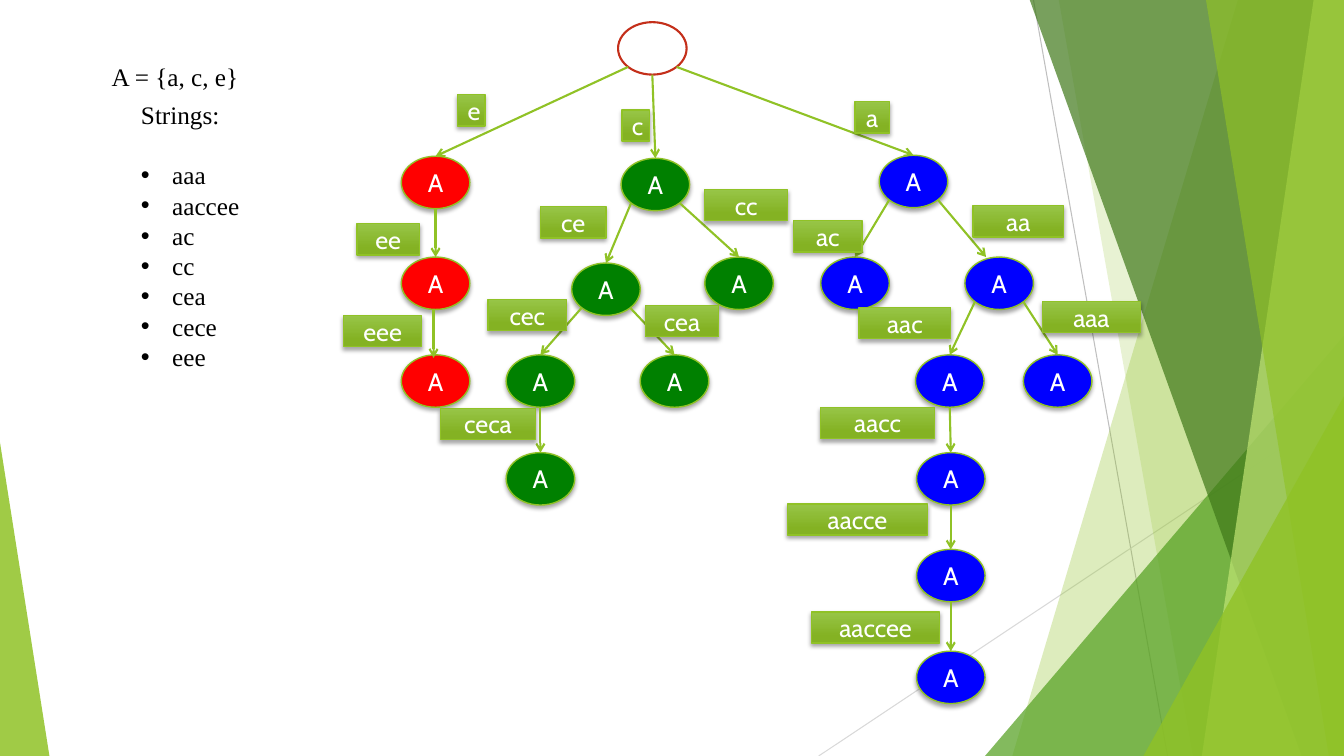
from dataclasses import dataclass
from typing import Optional

from lxml import etree
from pptx import Presentation
from pptx.dml.color import RGBColor
from pptx.enum.shapes import MSO_CONNECTOR, MSO_SHAPE
from pptx.enum.text import MSO_ANCHOR, PP_ALIGN
from pptx.oxml.ns import qn
from pptx.util import Inches, Pt

STRAIGHT = MSO_CONNECTOR.STRAIGHT
OVAL, RECT, TRIANGLE = MSO_SHAPE.OVAL, MSO_SHAPE.RECTANGLE, MSO_SHAPE.ISOSCELES_TRIANGLE
MIDDLE, CENTER = MSO_ANCHOR.MIDDLE, PP_ALIGN.CENTER

COLORS = {
    "lime": "90C226", "leaf": "54A021", "forest": "3F7819", "pale": "C0E474",
    "gray": "BFBFBF", "light_gray": "D9D9D9", "black": "000000", "white": "FFFFFF",
    "root": "C42F1A", "label_top": "97C547", "label_bottom": "84B223",
    "e": "FF0000", "c": "008000", "a": "0000FF",  # one colour per first letter
}
SLIDE_W, SLIDE_H = 13.33, 7.5
NODE_W, NODE_H, LABEL_H = 0.68, 0.52, 0.31
DIAGONAL = 0.707  # share of an oval's radius at its diagonal points
SERIF, SANS = "Times New Roman", "Cabin"


@dataclass
class Band:
    """Facet that runs from the slide's top to its bottom, up to the right edge."""
    top_x: float
    bottom_x: float
    color: str
    alpha: int


@dataclass
class Wedge:
    """Right triangle standing on the slide's bottom edge."""
    left: float
    top: float
    width: float
    apex: float
    color: str
    alpha: int


@dataclass
class Node:
    """Trie node; its parent is the prefix one letter shorter."""
    prefix: str
    center_x: float
    top: float
    label_left: float
    label_top: float
    label_width: float
    arrow: Optional[tuple[float, float, float, float]] = None


FACETS = [
    Band(12.28, 10.04, "lime", 30),
    Band(10.5, 11.83, "lime", 20),
    Wedge(9.77, 3.33, 3.56, 1, "leaf", 72),
    Band(10.21, 12.91, "forest", 70),
    Band(13.03, 11.92, "pale", 70),
    Band(11.96, 13.18, "lime", 65),
    Wedge(11.34, 3.93, 1.99, 1, "lime", 80),
    Wedge(0, 4.39, 0.49, 0, "lime", 85),
]
ROOT_X, ROOT_TOP = 6.47, 0.22
NODES = [
    Node("e", 4.32, 1.55, 4.54, 0.94, 0.27),
    Node("c", 6.5, 1.57, 6.17, 1.09, 0.27),
    Node("a", 9.06, 1.54, 8.48, 1.01, 0.34),
    Node("ee", 4.32, 2.55, 3.54, 2.22, 0.62),
    Node("eee", 4.32, 3.52, 3.41, 3.13, 0.77, arrow=(4.3, 3.07, 4.3, 3.55)),
    Node("aa", 9.91, 2.55, 9.65, 2.04, 0.9, arrow=(9.3, 1.98, 9.78, 2.55)),
    Node("aaa", 10.49, 3.52, 10.34, 2.99, 0.97),
    Node("aac", 9.42, 3.52, 8.52, 3.05, 0.91),
    Node("aacc", 9.43, 4.49, 8.14, 4.04, 1.13),
    Node("aacce", 9.43, 5.45, 7.81, 5, 1.39),
    Node("aaccee", 9.43, 6.46, 8.05, 6.07, 1.27),
    Node("ac", 8.48, 2.55, 7.87, 2.19, 0.68),
    Node("cc", 7.33, 2.55, 6.99, 1.88, 0.82),
    Node("ce", 6.01, 2.61, 5.36, 2.05, 0.65),
    Node("cea", 6.69, 3.52, 6.4, 3.03, 0.73),
    Node("cec", 5.36, 3.52, 4.84, 2.97, 0.78),
    Node("ceca", 5.36, 4.49, 4.37, 4.05, 0.94),
]
STRINGS = ["aaa", "aaccee", "ac", "cc", "cea", "cece", "eee"]


def rgb(name: str) -> RGBColor:
    return RGBColor.from_string(COLORS[name])


def add_facet(s, facet) -> None:
    if isinstance(facet, Wedge):
        sp = s.shapes.add_shape(TRIANGLE, Inches(facet.left), Inches(facet.top),
                                Inches(facet.width), Inches(SLIDE_H - facet.top))
        sp.adjustments[0] = facet.apex
    else:
        top = Inches(-0.01)
        right, bottom = Inches(SLIDE_W), Inches(SLIDE_H)
        outline = s.shapes.build_freeform(Inches(facet.top_x), top)
        outline.add_line_segments([(right, top), (right, bottom),
                                   (Inches(facet.bottom_x), bottom)])
        sp = outline.convert_to_shape()
    sp.shadow.inherit = False
    sp.fill.solid()
    sp.fill.fore_color.rgb = rgb(facet.color)
    sp.line.fill.background()
    fill_color = sp.element.spPr.find(qn("a:solidFill")).find(qn("a:srgbClr"))
    etree.SubElement(fill_color, qn("a:alpha"), val=str(facet.alpha * 1000))


def add_line(s, ends: tuple, color: str, width: float):
    cxn = s.shapes.add_connector(STRAIGHT, *(Inches(v) for v in ends))
    cxn.line.color.rgb = rgb(color)
    cxn.line.width = Pt(width)
    etree.SubElement(cxn.element.spPr, qn("a:effectLst"))
    return cxn


def add_arrow(s, node: Node, parent_x: float, parent_top: float, oval) -> None:
    # Leave the parent at its bottom or at the diagonal point facing the child
    shift = node.center_x - parent_x
    if abs(shift) < 0.1:
        start = (parent_x, parent_top + NODE_H)
    else:
        dx = DIAGONAL * NODE_W / 2 * (1 if shift > 0 else -1)
        start = (parent_x + dx, parent_top + (1 + DIAGONAL) * NODE_H / 2)
    cxn = add_line(s, node.arrow or (*start, node.center_x, node.top), "lime", 1.5)
    if node.arrow is None:
        cxn.end_connect(oval, 0)
    etree.SubElement(cxn.element.spPr.find(qn("a:ln")), qn("a:tailEnd"), type="arrow")


def add_tree_shape(s, kind, left: float, top: float, width: float, height: float,
                   text: str, fill: Optional[str] = None):
    """Captioned shape with a soft shadow; the gradient is used when no fill is given."""
    sp = s.shapes.add_shape(kind, Inches(left), Inches(top), Inches(width), Inches(height))
    if fill:
        sp.fill.solid()
        sp.fill.fore_color.rgb = rgb(fill)
    else:
        sp.fill.gradient()
        sp.fill.gradient_angle = 270
        stops = zip(sp.fill.gradient_stops, ("label_top", "label_bottom"), (0, 0.78))
        for stop, color, position in stops:
            stop.color.rgb = rgb(color)
            stop.position = position
    sp.line.color.rgb = rgb("lime")
    sp.line.width = Pt(1)
    sp.shadow.inherit = False
    shadow = etree.SubElement(sp.element.spPr.find(qn("a:effectLst")), qn("a:outerShdw"),
                              blurRad=str(Pt(3)), dist=str(Pt(2)), dir="5400000",
                              rotWithShape="0")
    shade = etree.SubElement(shadow, qn("a:srgbClr"), val=COLORS["black"])
    etree.SubElement(shade, qn("a:alpha"), val="35000")
    sp.text_frame.text = text
    sp.text_frame.vertical_anchor = MIDDLE
    p = sp.text_frame.paragraphs[0]
    p.alignment = CENTER
    style_text(p, SANS, "white")
    return sp


def style_text(p, font: str, color: str) -> None:
    for r in p.runs:
        r.font.name = font
        r.font.size = Pt(18)
        r.font.color.rgb = rgb(color)


def add_text(s, left: float, top: float, width: float, height: float,
             heading: str, items: list[str]) -> None:
    box = s.shapes.add_textbox(Inches(left), Inches(top), Inches(width), Inches(height))
    tf = box.text_frame
    tf.word_wrap = False
    tf.text = heading
    for i, item in enumerate(items):
        p = tf.add_paragraph()
        p.text = item
        p.line_spacing = Pt(21.6)
        if i == 0:
            p.space_before = Pt(21.3)
        pPr = p._p.get_or_add_pPr()
        pPr.set("marL", str(Inches(0.31)))
        pPr.set("indent", str(Inches(-0.31)))
        etree.SubElement(pPr, qn("a:buFont"), typeface="Arial")
        etree.SubElement(pPr, qn("a:buChar"), char="•")
    for p in tf.paragraphs:
        style_text(p, SERIF, "black")


def main() -> None:
    prs = Presentation()
    prs.slide_width, prs.slide_height = Inches(SLIDE_W), Inches(SLIDE_H)
    s = prs.slides.add_slide(prs.slide_layouts[6])

    # Background lines and facets
    add_line(s, (10.25, 0, 11.58, SLIDE_H), "gray", 0.75)
    add_line(s, (SLIDE_W, 4.03, 8.12, SLIDE_H), "light_gray", 0.75)
    for facet in FACETS:
        add_facet(s, facet)

    # Alphabet and string list
    add_text(s, 1.01, 0.56, 1.47, 0.4, "A = {a, c, e}", [])
    add_text(s, 1.3, 0.94, 1.18, 2.83, "Strings:", STRINGS)

    # Root
    root = s.shapes.add_shape(OVAL, Inches(ROOT_X - NODE_W / 2), Inches(ROOT_TOP),
                              Inches(NODE_W), Inches(NODE_H))
    root.shadow.inherit = False
    root.fill.solid()
    root.fill.fore_color.rgb = rgb("white")
    root.line.color.rgb = rgb("root")
    root.line.width = Pt(1.5)

    # Nodes, then arrows, then edge labels on top
    ovals = {n.prefix: add_tree_shape(s, OVAL, n.center_x - NODE_W / 2, n.top,
                                      NODE_W, NODE_H, "A", n.prefix[0]) for n in NODES}
    places = {"": (ROOT_X, ROOT_TOP)} | {n.prefix: (n.center_x, n.top) for n in NODES}
    for n in NODES:
        add_arrow(s, n, *places[n.prefix[:-1]], ovals[n.prefix])
    for n in NODES:
        add_tree_shape(s, RECT, n.label_left, n.label_top, n.label_width, LABEL_H, n.prefix)

    prs.save("out.pptx")


if __name__ == "__main__":
    main()
